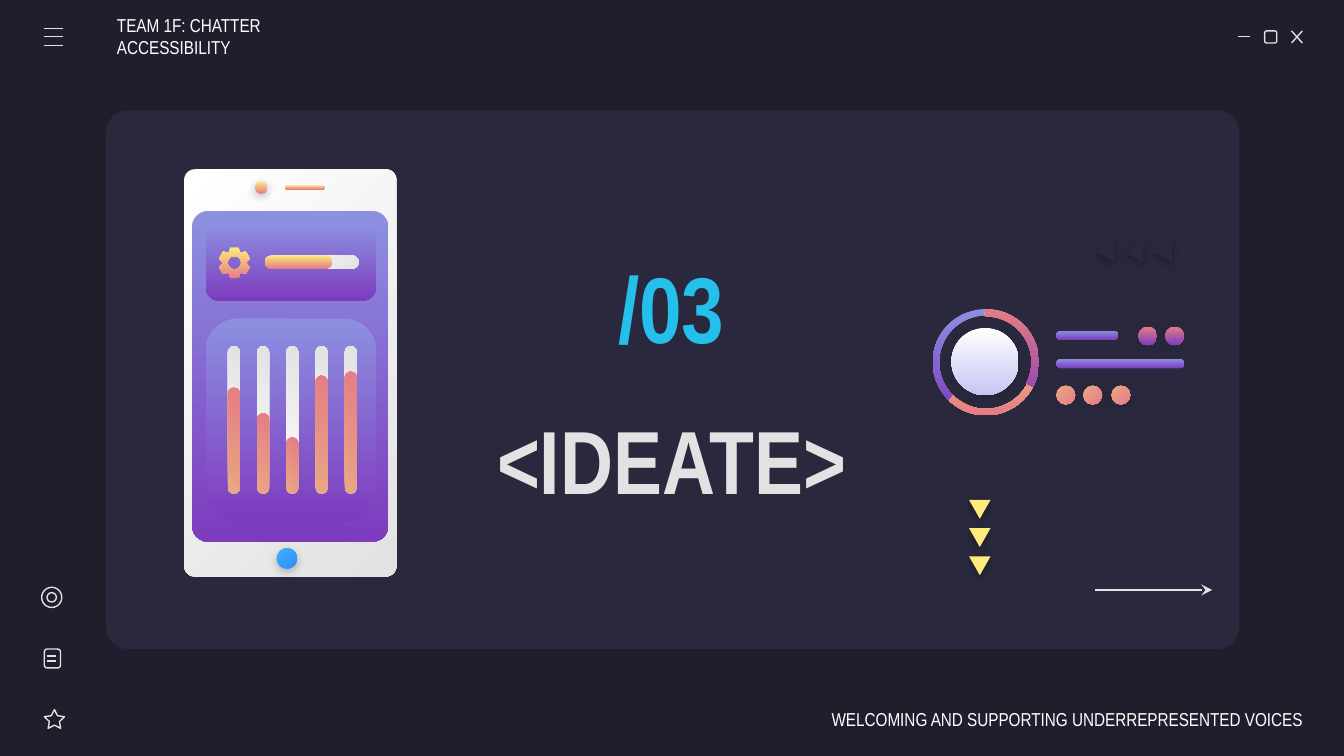
from math import cos, radians, sin

from lxml import etree
from pptx import Presentation
from pptx.dml.color import RGBColor
from pptx.enum.shapes import MSO_CONNECTOR, MSO_SHAPE
from pptx.enum.text import MSO_ANCHOR, MSO_AUTO_SIZE, PP_ALIGN
from pptx.oxml.ns import qn
from pptx.util import Pt

PX = 9144  # EMU in one px, 100 px to the inch
ROUND, OVAL, ARC = MSO_SHAPE.ROUNDED_RECTANGLE, MSO_SHAPE.OVAL, MSO_SHAPE.BLOCK_ARC
TRIANGLE, STAR = MSO_SHAPE.ISOSCELES_TRIANGLE, MSO_SHAPE.STAR_5_POINT
STRAIGHT = MSO_CONNECTOR.STRAIGHT
LEFT, CENTER, RIGHT = PP_ALIGN.LEFT, PP_ALIGN.CENTER, PP_ALIGN.RIGHT
MIDDLE, NO_FIT = MSO_ANCHOR.MIDDLE, MSO_AUTO_SIZE.NONE

FONT = "Arial Narrow"
NIGHT = RGBColor(0x1E, 0x1E, 0x2C)
PANEL = RGBColor(0x29, 0x28, 0x3D)
SILVER = RGBColor(0xE2, 0xE2, 0xE2)
WHITE = RGBColor(0xFF, 0xFF, 0xFF)
BLACK = RGBColor(0x00, 0x00, 0x00)
CYAN = RGBColor(0x24, 0xBF, 0xEB)
YELLOW = RGBColor(0xFF, 0xEA, 0x7D)
PINK = RGBColor(0xE5, 0x7C, 0x85)
TAN = RGBColor(0xE9, 0xA9, 0x84)
LILAC = RGBColor(0x8D, 0x90, 0xE1)
PURPLE = RGBColor(0x7E, 0x3B, 0xBE)
PALE = RGBColor(0xC5, 0xC7, 0xF4)
SKY = RGBColor(0x3D, 0xB0, 0xFD)
BLUE = RGBColor(0x30, 0x8E, 0xF7)

# Gradients: first colour, last colour, clockwise angle
METAL = (WHITE, SILVER, 45)
VIOLET = (LILAC, PURPLE, 90)
SUNSET = (YELLOW, PINK, 90)
PEACH = (TAN, PINK, 45)
BERRY = (PINK, PURPLE, 90)


def paint(sp, fill=None, line=None, shadow=None):
    """Fill is a colour or a gradient; shadow is (colour, opacity percent)."""
    sp.shadow.inherit = False
    if fill is None:
        sp.fill.background()
    elif isinstance(fill, RGBColor):
        sp.fill.solid()
        sp.fill.fore_color.rgb = fill
    else:
        sp.fill.gradient()
        sp.fill.gradient_angle = 360 - fill[2]
        for stop, color in zip(sp.fill.gradient_stops, fill):
            stop.color.rgb = color
    if line is None:
        sp.line.fill.background()
    else:
        sp.line.color.rgb = line
        sp.line.width = Pt(0.75)
    if shadow:
        effects = sp._element.spPr.find(qn("a:effectLst"))
        outer = etree.SubElement(effects, qn("a:outerShdw"), blurRad=str(Pt(4.5)),
                                 dist=str(Pt(1.5)), dir="5400000", algn="bl", rotWithShape="0")
        color = etree.SubElement(outer, qn("a:srgbClr"), val=str(shadow[0]))
        etree.SubElement(color, qn("a:alpha"), val=str(shadow[1] * 1000))


def add_shape(s, kind, x, y, w, h, adj=(), rot=0, **look):
    sp = s.shapes.add_shape(kind, *(round(v * PX) for v in (x, y, w, h)))
    for i, value in enumerate(adj):
        sp.adjustments[i] = value
    sp.rotation = rot
    paint(sp, **look)


def add_line(s, x1, y1, x2, y2, tail=None):
    cx = s.shapes.add_connector(STRAIGHT, *(v * PX for v in (x1, y1, x2, y2)))
    cx.line.color.rgb = SILVER
    cx.line.width = Pt(0.75)
    if tail:
        etree.SubElement(cx.line._get_or_add_ln(), qn("a:tailEnd"), type=tail)
    etree.SubElement(cx._element.spPr, qn("a:effectLst"))


def put_text(s, sp, box, text, align, size, color, bold, insets=(10, 10, 10, 10)):
    s.shapes._spTree.append(sp._element)  # bring in front of the panel
    sp.left, sp.top, sp.width, sp.height = (v * PX for v in box)
    tf = sp.text_frame
    sides = ("margin_left", "margin_top", "margin_right", "margin_bottom")
    frame = dict(zip(sides, (v * PX for v in insets)),
                 word_wrap=True, auto_size=NO_FIT, vertical_anchor=MIDDLE)
    for name, value in frame.items():
        setattr(tf, name, value)
    p = tf.paragraphs[0]
    p.alignment, p.space_before = align, Pt(0)
    r = p.add_run()
    r.text = text
    for name, value in {"name": FONT, "size": Pt(size), "bold": bold}.items():
        setattr(r.font, name, value)
    r.font.color.rgb = color


def window_buttons(s, x, y):
    add_line(s, x, y + 4, x + 9, y + 4)
    add_shape(s, ROUND, x + 20, y, 9, 9, line=SILVER)
    add_line(s, x + 40, y, x + 48, y + 9)
    add_line(s, x + 48, y, x + 40, y + 9)


def side_icons(s, x, y):
    # Menu
    for dy in (0, 6, 13):
        add_line(s, x + 2, y + dy, x + 16, y + dy)
    # Ring, note and star
    add_shape(s, OVAL, x, y + 416, 15, 15, line=SILVER)
    add_shape(s, OVAL, x + 4, y + 420, 7, 7, line=SILVER)
    add_shape(s, ROUND, x + 2, y + 462, 12, 14, line=SILVER)
    for dy in (467, 471):
        add_line(s, x + 4, y + dy, x + 11, y + dy)
    add_shape(s, STAR, x + 2, y + 507, 15, 14, adj=[0.25], line=SILVER)


def gear(s, cx, cy):
    def turn(dx, dy, degrees):
        c, n = cos(radians(degrees)), sin(radians(degrees))
        return round((cx + dx * c - dy * n) * PX), round((cy + dx * n + dy * c) * PX)

    tooth = ((-4, -8), (-3, -11.5), (3, -11.5), (4, -8))
    rim = [turn(dx, dy, 60 * k) for k in range(6) for dx, dy in tooth]
    hole = [turn(0, -5, -15 * k) for k in range(24)]
    fb = s.shapes.build_freeform(*rim[0])
    fb.add_line_segments(rim[1:])
    fb.move_to(*hole[0])
    fb.add_line_segments(hole[1:])
    paint(fb.convert_to_shape(), fill=SUNSET)


def phone(s, x, y):
    # Body, screen, camera, button and speaker
    add_shape(s, ROUND, x, y, 158, 303, adj=[0.05], fill=METAL)
    add_shape(s, ROUND, x + 6, y + 31, 146, 246, adj=[0.08], fill=VIOLET)
    add_shape(s, OVAL, x + 53, y + 9, 9, 9, fill=SUNSET, shadow=(NIGHT, 31))
    add_shape(s, OVAL, x + 69, y + 282, 15, 15, fill=(SKY, BLUE, 45), shadow=(NIGHT, 31))
    add_shape(s, ROUND, x + 75, y + 12, 30, 3, adj=[0.5], fill=SUNSET)
    # Settings card
    add_shape(s, ROUND, x + 16, y + 41, 127, 57, adj=[0.19], fill=VIOLET)
    gear(s, x + 37.5, y + 69.5)
    for width, fill in ((70, METAL), (50, SUNSET)):
        add_shape(s, ROUND, x + 60, y + 64, width, 10, adj=[0.5], fill=fill)
    # Slider card
    add_shape(s, ROUND, x + 16, y + 111, 127, 152, adj=[0.19], fill=VIOLET)
    for i, level in enumerate((79, 60, 42, 88, 91)):
        for length, fill in ((110, METAL), (level, PEACH)):
            add_shape(s, ROUND, x + 37 + 21.75 * i - length / 2, y + 237 - length / 2, length, 9,
                      adj=[0.5], rot=270, fill=fill)


def dial(s, x, y):
    # Ring and knob
    add_shape(s, ARC, x, y, 79, 79, adj=[165.42, 164.21, 0.06], fill=VIOLET)
    add_shape(s, OVAL, x + 14, y + 14, 50, 50, fill=(WHITE, PALE, 90), shadow=(NIGHT, 31))
    add_shape(s, ARC, x, y, 79, 79, adj=[161.36, 80.51, 0.06], fill=SUNSET)
    add_shape(s, ARC, x, y, 79, 79, adj=[161.36, 16.63, 0.07], fill=BERRY)
    # Bars and dots
    for dy, width in ((16, 46), (37, 95)):
        add_shape(s, ROUND, x + 92, y + dy, width, 7, adj=[0.5], fill=VIOLET)
    dots = [(92, 57, PEACH), (112, 57, PEACH), (133, 57, PEACH), (153, 13, BERRY), (173, 13, BERRY)]
    for dx, dy, fill in dots:
        add_shape(s, OVAL, x + dx, y + dy, 14, 14, fill=fill, shadow=(NIGHT, 31))


def triangles(s, x, y, dx, dy, rot, fill):
    for i in range(3):
        add_shape(s, TRIANGLE, x + dx * i, y + dy * i, 16, 14, rot=rot, fill=fill,
                  shadow=(BLACK, 30))


def main():
    prs = Presentation()
    prs.slide_width = 1000 * PX
    prs.slide_height = prs.slide_width * 9 // 16
    s = prs.slides.add_slide(prs.slide_layouts[4])
    s.background.fill.solid()
    s.background.fill.fore_color.rgb = NIGHT
    ph = {sp.placeholder_format.idx: sp for sp in s.placeholders}

    # Frame
    add_shape(s, ROUND, 79, 82, 843, 401, adj=[0.04], fill=PANEL)
    window_buttons(s, 921, 23)
    side_icons(s, 31, 21)

    # Section heading
    put_text(s, ph[0], (321, 290, 358, 103), "<IDEATE>", CENTER, 48, SILVER, True)
    put_text(s, s.shapes.add_textbox(0, 0, 0, 0), (413, 184, 173, 87), "/03", CENTER, 50, CYAN, True)

    # Drawings
    add_line(s, 815, 439, 902, 439, tail="stealth")
    phone(s, 137, 126)
    triangles(s, 721, 372, 0, 21, 180, YELLOW)
    triangles(s, 814, 180, 21.5, 0, 270, PANEL)
    dial(s, 694, 230)

    # Header and footer lines
    put_text(s, ph[1], (573, 520, 396, 30), "WELCOMING AND SUPPORTING UNDERREPRESENTED VOICES",
             RIGHT, 10, WHITE, False, (10, 10, 0, 10))
    put_text(s, ph[3], (87, 12, 201, 30), "TEAM 1F: CHATTER ACCESSIBILITY",
             LEFT, 10, WHITE, False, (0, 10, 10, 10))
    for idx in (2, 4):
        ph[idx]._element.getparent().remove(ph[idx]._element)

    prs.save("out.pptx")


if __name__ == "__main__":
    main()
